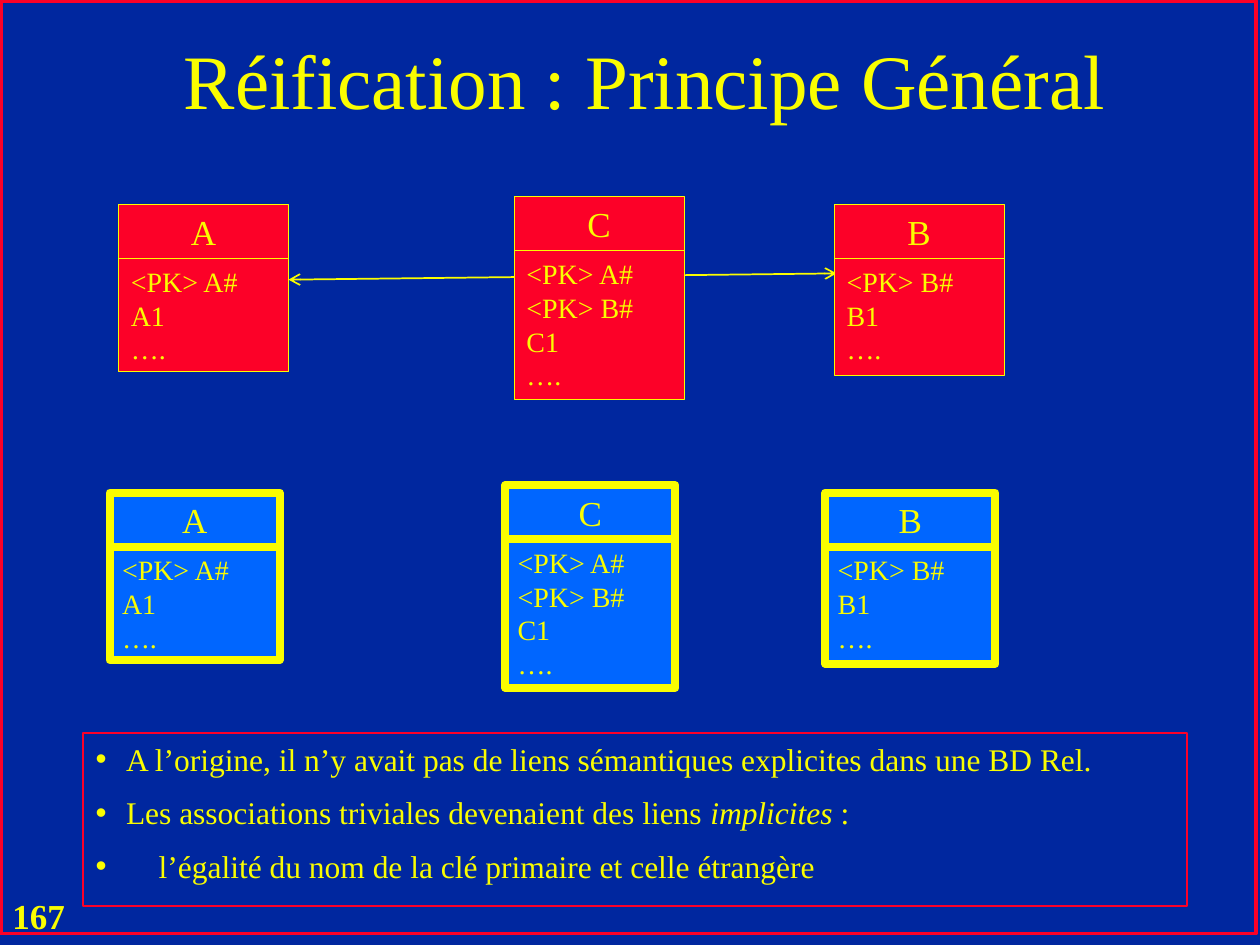
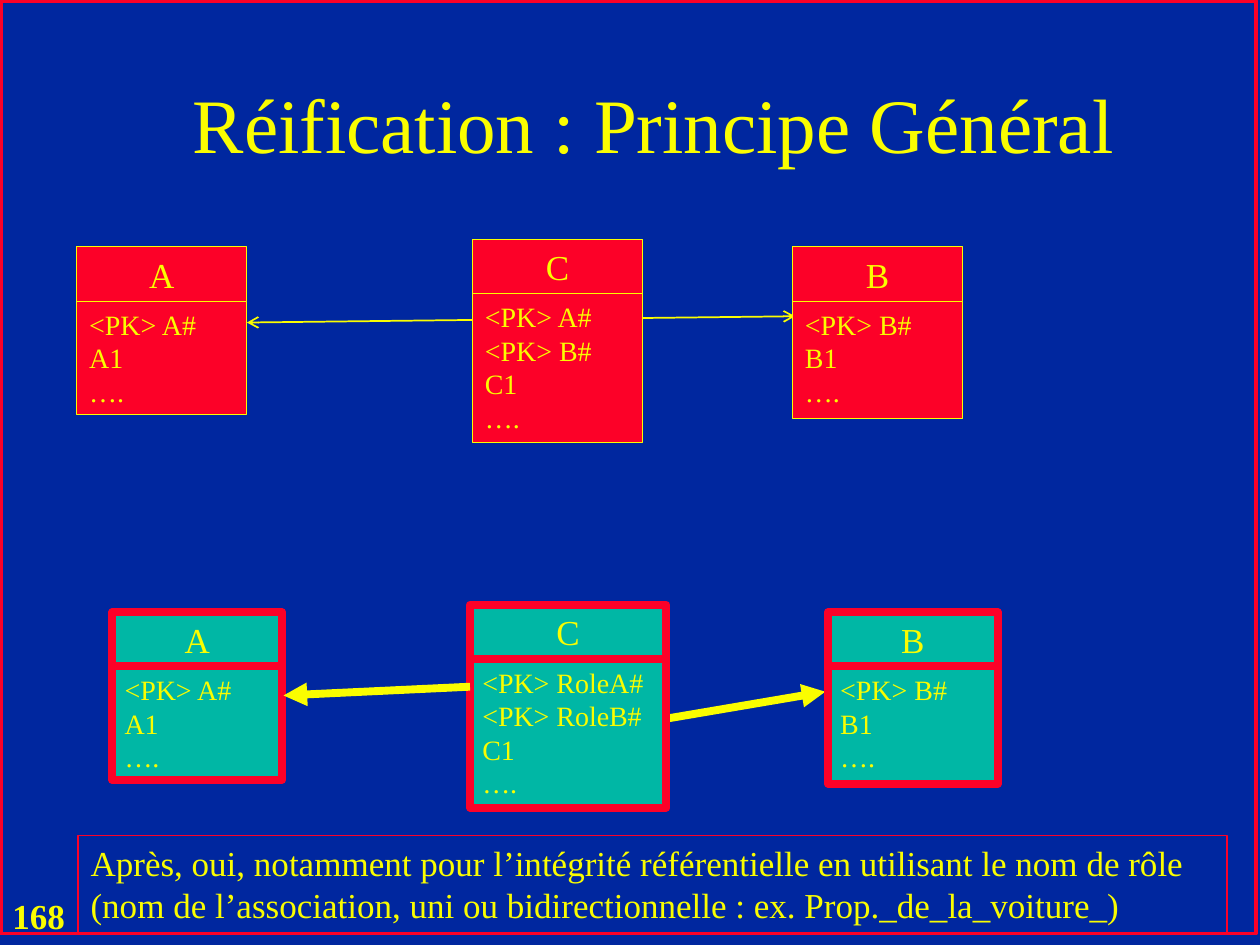
from lxml import etree
from pptx import Presentation
from pptx.dml.color import RGBColor
from pptx.enum.shapes import MSO_CONNECTOR, MSO_SHAPE
from pptx.enum.text import MSO_ANCHOR, MSO_AUTO_SIZE, PP_ALIGN
from pptx.oxml.ns import qn
from pptx.util import Inches, Pt

RECT, STRAIGHT = MSO_SHAPE.RECTANGLE, MSO_CONNECTOR.STRAIGHT
TOP, MIDDLE = MSO_ANCHOR.TOP, MSO_ANCHOR.MIDDLE
LEFT, CENTER = PP_ALIGN.LEFT, PP_ALIGN.CENTER
FIXED = MSO_AUTO_SIZE.NONE

FONT = "Times New Roman"
COLORS = {"back": "00279F", "yellow": "FAFD00", "red": "FC0128",
          "blue": "0066FF", "teal": "00B7A5"}
COLS, ROWS = 100, 75
CELL = Inches(10) / COLS
TITLE = "Réification : Principe Général"
HEAD_H, TABLE_W, B_OFFSET, C_RISE = 4.3, 13.5, 56.8, 0.6
KEYS = ["<PK> A#", "<PK> B#"]
ROLES = ["<PK> RoleA#", "<PK> RoleB#"]


def grid(*cells):
    """Turn grid columns or rows into lengths."""
    return [round(c * CELL) for c in cells]


def color(name):
    """Return a palette colour."""
    return RGBColor.from_string(COLORS[name])


def add_run(p, text, size, bold=None, italic=None):
    """Append one run in the shared font and colour."""
    r = p.add_run()
    r.text = text
    r.font.name, r.font.size = FONT, Pt(size)
    r.font.bold, r.font.italic = bold, italic
    r.font.color.rgb = color("yellow")


def setup_text(sp, anchor=TOP):
    """Fix the frame of a shape and return its text frame."""
    tf = sp.text_frame
    tf.word_wrap, tf.auto_size, tf.vertical_anchor = True, FIXED, anchor
    return tf


def fill_text(sp, lines, size, anchor=TOP, align=LEFT, bold=None):
    """Write one paragraph per line."""
    tf = setup_text(sp, anchor)
    for i, line in enumerate(lines):
        p = tf.add_paragraph() if i else tf.paragraphs[0]
        p.alignment = align
        add_run(p, line, size, bold)


def place(sp, box):
    """Move a placeholder to a grid box."""
    sp.left, sp.top, sp.width, sp.height = grid(*box)


def outline(sp, line, weight):
    """Give a shape its border."""
    sp.line.color.rgb = color(line)
    sp.line.width = Pt(weight)


def add_rect(slide, box, line, weight, fill=None):
    """Draw a bordered rectangle, hollow unless a fill is named."""
    sp = slide.shapes.add_shape(RECT, *grid(*box))
    sp.shadow.inherit = False
    if fill:
        sp.fill.solid()
        sp.fill.fore_color.rgb = color(fill)
    else:
        sp.fill.background()
    outline(sp, line, weight)
    return sp


def add_arrow(slide, start, end, weight, head=None, tail=None):
    """Draw a yellow line with optional arrowheads."""
    sp = slide.shapes.add_connector(STRAIGHT, *grid(*start, *end))
    outline(sp, "yellow", weight)
    ln = sp.line._get_or_add_ln()
    for tag, kind in (("a:headEnd", head), ("a:tailEnd", tail)):
        if kind:
            etree.SubElement(ln, qn(tag), type=kind)
    etree.SubElement(sp._element.spPr, qn("a:effectLst"))


def add_table_box(slide, x, y, w, name, fields, body_h, style):
    """Draw one relational table: name above, fields below."""
    fill, line, weight = style
    head = add_rect(slide, (x, y, w, HEAD_H), line, weight, fill)
    fill_text(head, [name], 20, MIDDLE, CENTER)
    body = add_rect(slide, (x, y + HEAD_H, w, body_h), line, weight, fill)
    fill_text(body, fields, 16)


def add_schema(slide, x, y, style, keys=KEYS, c_offset=31.4, c_width=TABLE_W):
    """Draw tables A, B and C from the corner of A."""
    add_table_box(slide, x, y, TABLE_W, "A", ["<PK> A#", "A1", "…."], 9, style)
    add_table_box(slide, x + B_OFFSET, y, TABLE_W, "B",
                  ["<PK> B#", "B1", "…."], 9.3, style)
    add_table_box(slide, x + c_offset, y - C_RISE, c_width, "C",
                  keys + ["C1", "…."], 11.8, style)


def add_linked_schema(slide, x, y):
    """Draw the red schema, its two-way arrow passing behind C."""
    add_arrow(slide, (x + TABLE_W, y + 6), (x + B_OFFSET + 0.2, y + 5.5), 1,
              "arrow", "arrow")
    add_schema(slide, x, y, ("red", "yellow", 0.5))


def add_role_schema(slide, x, y):
    """Draw the teal schema with an arrow from C to each side."""
    add_arrow(slide, (x + 44.2, y + 8.4), (x + 56.6, y + 6.3), 4.5,
              tail="triangle")
    add_schema(slide, x, y, ("teal", "red", 4.5), ROLES, 28.4, 15.6)
    add_arrow(slide, (x + 13.6, y + 6.6), (x + 28.4, y + 5.9), 4.5,
              head="triangle")


def space_half(p):
    """Put half a line above a paragraph."""
    spc = etree.SubElement(p._p.get_or_add_pPr(), qn("a:spcBef"))
    etree.SubElement(spc, qn("a:spcPct"), val="50000")


def add_bullets(sp, box, items):
    """Fill the body placeholder with bulleted paragraphs of runs."""
    place(sp, box)
    outline(sp, "red", 1)
    tf = setup_text(sp)
    for i, runs in enumerate(items):
        p = tf.add_paragraph() if i else tf.paragraphs[0]
        p.alignment = LEFT
        space_half(p)
        pPr = p._p.get_or_add_pPr()
        pPr.set("marL", str(Inches(0.24)))
        pPr.set("indent", str(-Inches(0.24)))
        clr = etree.SubElement(pPr, qn("a:buClr"))
        etree.SubElement(clr, qn("a:srgbClr"), val=COLORS["yellow"])
        etree.SubElement(pPr, qn("a:buChar"), char="•")
        for text, italic in runs:
            add_run(p, text, 18, italic=italic)


def add_note(slide, box, text):
    """Write a framed remark."""
    sp = add_rect(slide, box, "red", 1)
    fill_text(sp, [text], 20)
    space_half(sp.text_frame.paragraphs[0])


def new_slide(prs, layout, number, title_x, title_y):
    """Start a slide with its frame, page number and title."""
    slide = prs.slides.add_slide(prs.slide_layouts[layout])
    add_rect(slide, (0.1, 0.1, COLS - 0.4, ROWS - 1), "red", 2)
    page = slide.shapes.add_textbox(*grid(0, 70.5, 6.9, 4.3))
    fill_text(page, [str(number)], 20, bold=True)
    place(slide.shapes.title, (title_x, title_y, 85, 12.5))
    fill_text(slide.shapes.title, [TITLE], 44, MIDDLE, CENTER)
    return slide


def implicit_links(prs):
    """Build the slide on implicit links."""
    slide = new_slide(prs, 1, 167, 8.7, 0)
    add_schema(slide, 8.7, 39.1, ("blue", "yellow", 4.5))
    add_linked_schema(slide, 9.4, 16.2)
    add_bullets(slide.placeholders[1], (6.6, 58.2, 87.6, 13.7), [
        [("A l’origine, il n’y avait pas de liens sémantiques explicites "
          "dans une BD Rel.", None)],
        [("Les associations triviales devenaient des liens ", None),
         ("implicites", True), (" :", None)],
        [("\tl’égalité du nom de la clé primaire et celle étrangère", None)],
    ])


def role_links(prs):
    """Build the slide on links named by role."""
    slide = new_slide(prs, 5, 168, 9.4, 3.5)
    add_role_schema(slide, 8.9, 48.6)
    add_note(slide, (6.2, 66.3, 91.2, 7.8),
             "Après, oui, notamment pour l’intégrité référentielle en "
             "utilisant le nom de rôle (nom de l’association, uni ou "
             "bidirectionnelle : ex. Prop._de_la_voiture_)")
    add_linked_schema(slide, 6.1, 19.6)


def main():
    """Build and save the slides."""
    prs = Presentation()
    prs.slide_width, prs.slide_height = grid(COLS, ROWS)
    back = prs.slide_master.background.fill
    back.solid()
    back.fore_color.rgb = color("back")
    implicit_links(prs)
    role_links(prs)
    prs.save("out.pptx")


if __name__ == "__main__":
    main()
